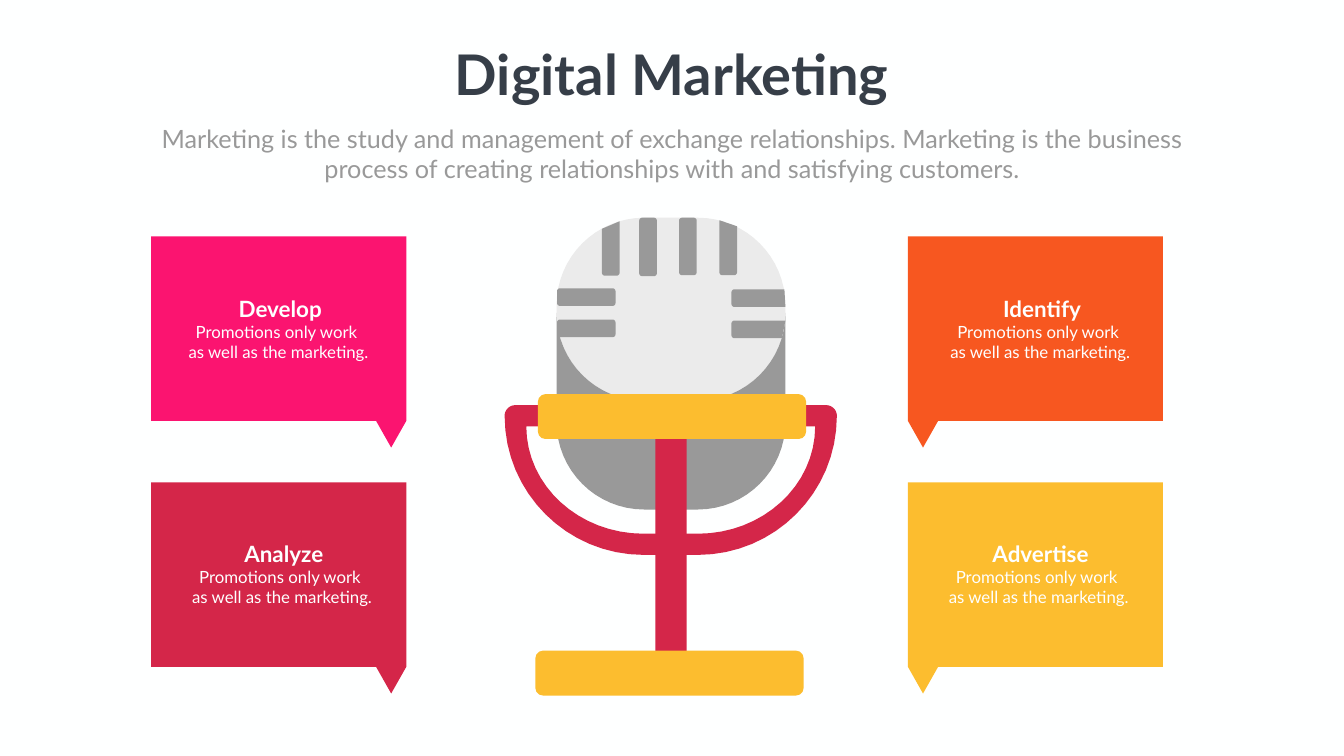
import math

import pptx
import pptx.dml.color
import pptx.enum.shapes
import pptx.enum.text
import pptx.util

PX = 9144  # EMU per px, 100 px to the inch
FONT = "Lato"
ARC_STEPS = 16
ARC_HANDLE = 0.5523  # Bezier handle length of a quarter circle

COLORS = {
    "background": "FEFFFF",
    "title": "363E48",
    "gray": "999999",
    "light": "EBEBEB",
    "pink": "FB1470",
    "red": "D42649",
    "orange": "F75720",
    "yellow": "FCBD2F",
}

# heading, color, inner edge, direction outwards, top, heading left, heading top
BUBBLES = [
    ("Develop", "pink", 806, -1, 469, 431, 581),
    ("Analyze", "red", 806, -1, 957, 438, 1067),
    ("Identify", "orange", 1801, 1, 469, 1942, 581),
    ("Advertise", "yellow", 1801, 1, 957, 1939, 1066),
]
BUBBLE_TEXT = "Promotions only work \nas well as the marketing."


def rgb(color):
    return pptx.dml.color.RGBColor.from_string(COLORS[color])


def paint(shape, color):
    shape.shadow.inherit = False
    shape.fill.solid()
    shape.fill.fore_color.rgb = rgb(color)
    shape.line.fill.background()


def toward(start, end, distance):
    """Point on the edge from start to end, no further than its end."""
    length = math.dist(start, end)
    share = min(distance / length, 1)
    return tuple(a + (b - a) * share for a, b in zip(start, end))


def round_corners(corners):
    """Turn (x, y, radius) corners into a list of points in EMU."""
    points = []
    for index, (x, y, radius) in enumerate(corners):
        corner = (x, y)
        if not radius:
            points.append(corner)
            continue
        start = toward(corner, corners[index - 1][:2], radius)
        end = toward(corner, corners[(index + 1) % len(corners)][:2], radius)
        for step in range(ARC_STEPS + 1):
            t = step / ARC_STEPS
            u = 1 - t
            points.append(tuple(
                u ** 3 * a + 3 * u * u * t * (a + (c - a) * ARC_HANDLE)
                + 3 * u * t * t * (b + (c - b) * ARC_HANDLE) + t ** 3 * b
                for a, b, c in zip(start, end, corner)))
    return [(round(x * PX), round(y * PX)) for x, y in points]


def add_outline(slide, color, *contours):
    """Filled outline; any further contour cuts a hole."""
    first, *holes = [round_corners(corners) for corners in contours]
    builder = slide.shapes.build_freeform(*first[0])
    builder.add_line_segments(first[1:], close=True)
    for hole in holes:
        builder.move_to(*hole[0])
        builder.add_line_segments(hole[1:], close=True)
    paint(builder.convert_to_shape(), color)


def add_bar(slide, color, left, top, width, height):
    shape = slide.shapes.add_shape(
        pptx.enum.shapes.MSO_SHAPE.ROUNDED_RECTANGLE,
        left * PX, top * PX, width * PX, height * PX)
    paint(shape, color)


def add_text(slide, text, box, size, color, bold=False, wrap=True):
    shape = slide.shapes.add_textbox(*[value * PX for value in box])
    text_frame = shape.text_frame
    text_frame.word_wrap = wrap
    text_frame.text = text
    for paragraph in text_frame.paragraphs:
        paragraph.alignment = pptx.enum.text.PP_ALIGN.CENTER
        for run in paragraph.runs:
            run.font.name = FONT
            run.font.size = pptx.util.Pt(size)
            run.font.bold = bold
            run.font.color.rgb = rgb(color)


def add_bubble(slide, heading, color, inner, direction, top, text_left, text_top):
    bottom = top + 366
    tail, outer = inner + direction * 60, inner + direction * 506
    add_outline(slide, color, [
        (inner, top, 0), (inner, bottom, 0),
        (inner + direction * 30, bottom + 53, 0), (tail, bottom, 0),
        (outer, bottom, 0), (outer, top, 0)])
    add_text(slide, heading, (text_left, text_top, 250, 64), 32, "background", bold=True)
    add_text(slide, BUBBLE_TEXT, (text_left - 71, text_top + 53, 385, 91), 24, "background")


def add_microphone(slide):
    left, right, top, bottom, curve = 1104, 1558, 432, 795, 174

    # Head
    add_outline(slide, "light", [
        (left, top, curve), (right, top, curve),
        (right, bottom, curve), (left, bottom, curve)])

    # Upright slots: left, height of the left and right top corners, bottom
    for x, top_left, top_right, slot_bottom, radius in [
            (1194, 454, 439, 547, 0), (1268, 432, 432, 548, 6),
            (1347, 432, 432, 546, 6), (1427, 437, 449, 546, 0)]:
        add_outline(slide, "gray", [
            (x, top_left, radius), (x + 35, top_right, radius),
            (x + 35, slot_bottom, 6), (x, slot_bottom, 6)])

    # Side slots: left, right, top, right end at the bottom, corner radii
    for x, end, y, lower_end, left_radius, right_radius in [
            (1105, 1221, 572, 1221, 6, 6), (1105, 1221, 634, 1221, 6, 6),
            (1451, 1556, 574, 1558, 6, 0), (1451, 1558, 636, 1551, 6, 0)]:
        add_outline(slide, "gray", [
            (x, y, left_radius), (end, y, right_radius),
            (lower_end, y + 35, right_radius), (x, y + 35, left_radius)])

    # Body, hollowed at the top to hold the head
    shoulder = bottom - curve
    add_outline(slide, "gray", [
        (right, shoulder, 0), (right, 1011, curve), (left, 1011, curve),
        (left, shoulder, 0), (left, bottom, curve), (right, bottom, curve)])

    # Cradle
    add_outline(
        slide, "red",
        [(1001, 804, 21), (1660, 804, 21), (1660, 1101, 276), (1001, 1101, 276)],
        [(1044, 846, 0), (1617, 846, 0), (1617, 1059, 233), (1044, 1059, 233)])

    # Stem, yoke and base
    add_bar(slide, "red", 1300, 804, 62, 543)
    add_bar(slide, "yellow", 1067, 782, 532, 89)
    add_bar(slide, "yellow", 1062, 1291, 532, 89)


def main():
    presentation = pptx.Presentation()
    presentation.slide_width = 2666 * PX
    presentation.slide_height = 1500 * PX
    slide = presentation.slides.add_slide(presentation.slide_layouts[6])
    slide.background.fill.solid()
    slide.background.fill.fore_color.rgb = rgb("background")

    # Heading
    add_text(slide, "Digital Marketing", (882, 74, 901, 145), 80, "title",
             bold=True, wrap=False)
    add_text(slide, "Marketing is the study and management of exchange relationships. "
             "Marketing is the business process of creating relationships with and "
             "satisfying customers.", (268, 239, 2130, 131), 36, "gray")

    for bubble in BUBBLES:
        add_bubble(slide, *bubble)
    add_microphone(slide)
    presentation.save("out.pptx")


if __name__ == "__main__":
    main()
